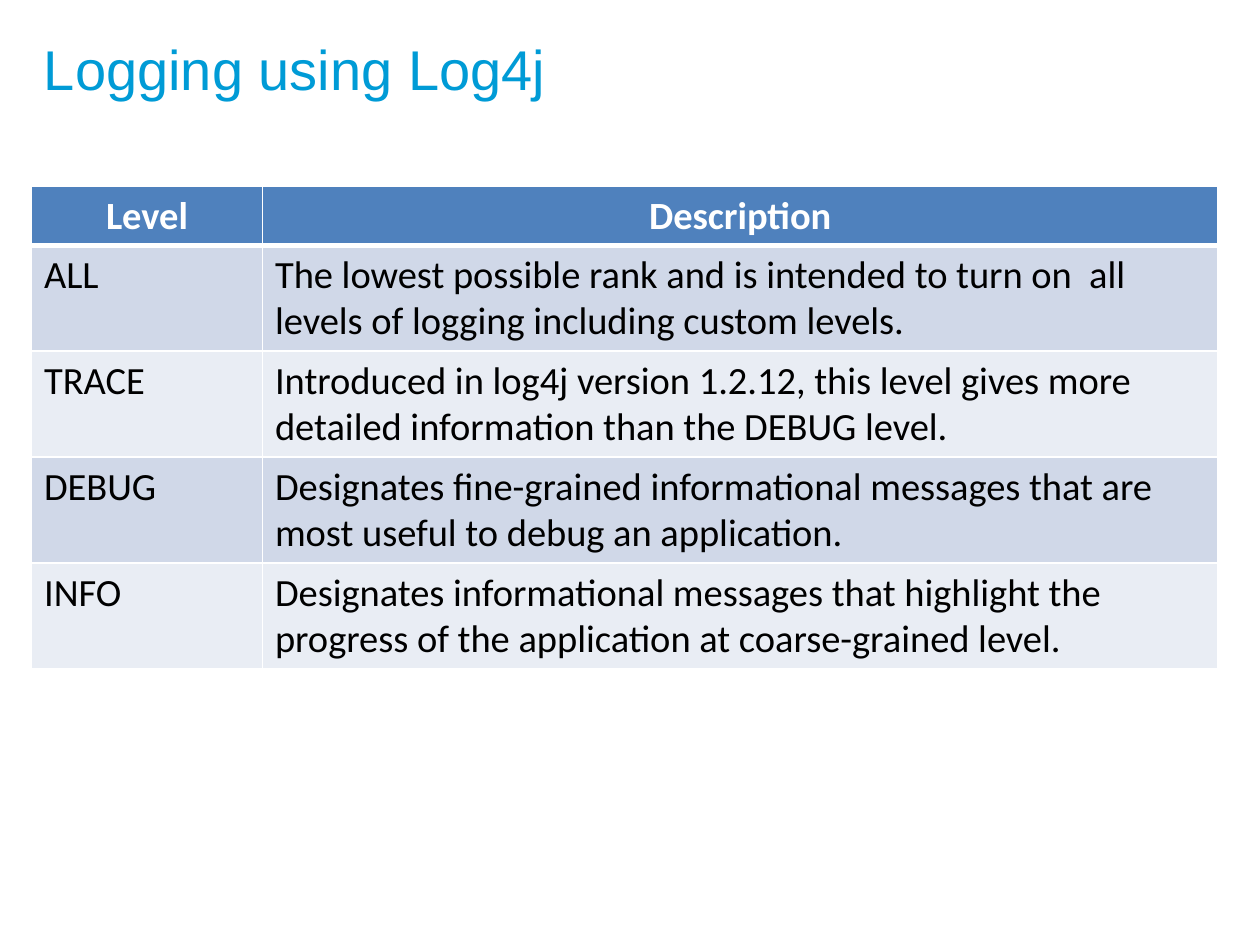
from dataclasses import dataclass
from lxml.etree import SubElement
from pptx import Presentation
from pptx.dml.color import RGBColor
from pptx.enum.text import MSO_ANCHOR, PP_ALIGN
from pptx.oxml.ns import qn
from pptx.util import Pt

TITLE = "Logging using Log4j"
HEADINGS = ("Level", "Description")
LEVELS = [
    ("ALL", "The lowest possible rank and is intended to turn on  all levels of logging including custom levels."),
    ("TRACE", "Introduced in log4j version 1.2.12, this level gives more detailed information than the DEBUG level."),
    ("DEBUG", "Designates fine-grained informational messages that are most useful to debug an application."),
    ("INFO", "Designates informational messages that highlight the progress of the application at coarse-grained level."),
]


@dataclass(frozen=True)
class Theme:
    title_font: str = "Arial"
    table_font: str = "Calibri"
    title_size: int = 32
    table_size: int = 22
    title_color: str = "009BD6"
    header_fill: str = "4F81BD"
    header_text: str = "FFFFFF"
    body_text: str = "000000"
    bands: tuple = ("D0D8E8", "E9EDF4")
    border: str = "FFFFFF"
    thin: int = 1
    thick: int = 3


THEME = Theme()
LEFT = 18
TABLE_TOP = 106.5
COLUMN_WIDTHS = (132, 546)
HEADER_HEIGHT = 33
ROW_HEIGHT = 60.6


def style_paragraph(para, font, size, color, bold=False, align=PP_ALIGN.LEFT):
    para.alignment = align
    para.font.name = font
    para.font.size = Pt(size)
    para.font.bold = bold
    para.font.color.rgb = RGBColor.from_string(color)


def add_borders(cell, top, bottom):
    properties = cell._tc.get_or_add_tcPr()
    widths = {"a:lnL": THEME.thin, "a:lnR": THEME.thin, "a:lnT": top, "a:lnB": bottom}
    for position, (tag, width) in enumerate(widths.items()):
        line = SubElement(properties, qn(tag), w=str(Pt(width)))
        fill = SubElement(line, qn("a:solidFill"))
        SubElement(fill, qn("a:srgbClr"), val=THEME.border)
        properties.insert(position, line)


def add_title(page):
    box = page.shapes.add_textbox(Pt(LEFT), Pt(18), Pt(558), Pt(42))
    frame = box.text_frame
    frame.word_wrap = True
    frame.vertical_anchor = MSO_ANCHOR.MIDDLE
    frame.text = TITLE
    style_paragraph(frame.paragraphs[0], THEME.title_font, THEME.title_size, THEME.title_color)


def add_level_table(page):
    rows = [HEADINGS, *LEVELS]
    height = HEADER_HEIGHT + ROW_HEIGHT * len(LEVELS)
    table = page.shapes.add_table(
        len(rows), len(HEADINGS), Pt(LEFT), Pt(TABLE_TOP), Pt(sum(COLUMN_WIDTHS)), Pt(height)
    ).table
    for column, width in zip(table.columns, COLUMN_WIDTHS):
        column.width = Pt(width)
    for row_index, texts in enumerate(rows):
        header = row_index == 0
        table.rows[row_index].height = Pt(HEADER_HEIGHT if header else ROW_HEIGHT)
        band = THEME.header_fill if header else THEME.bands[(row_index - 1) % 2]
        color = THEME.header_text if header else THEME.body_text
        align = PP_ALIGN.CENTER if header else PP_ALIGN.LEFT
        top = THEME.thick if row_index == 1 else THEME.thin
        bottom = THEME.thick if header else THEME.thin
        for column_index, text in enumerate(texts):
            cell = table.cell(row_index, column_index)
            cell.text = text
            cell.fill.solid()
            cell.fill.fore_color.rgb = RGBColor.from_string(band)
            add_borders(cell, top, bottom)
            style_paragraph(
                cell.text_frame.paragraphs[0], THEME.table_font, THEME.table_size, color, header, align
            )


def main():
    deck = Presentation()
    deck.slide_width, deck.slide_height = Pt(720), Pt(540)
    page = deck.slides.add_slide(deck.slide_layouts[6])
    add_title(page)
    add_level_table(page)
    deck.save("out.pptx")


if __name__ == "__main__":
    main()
